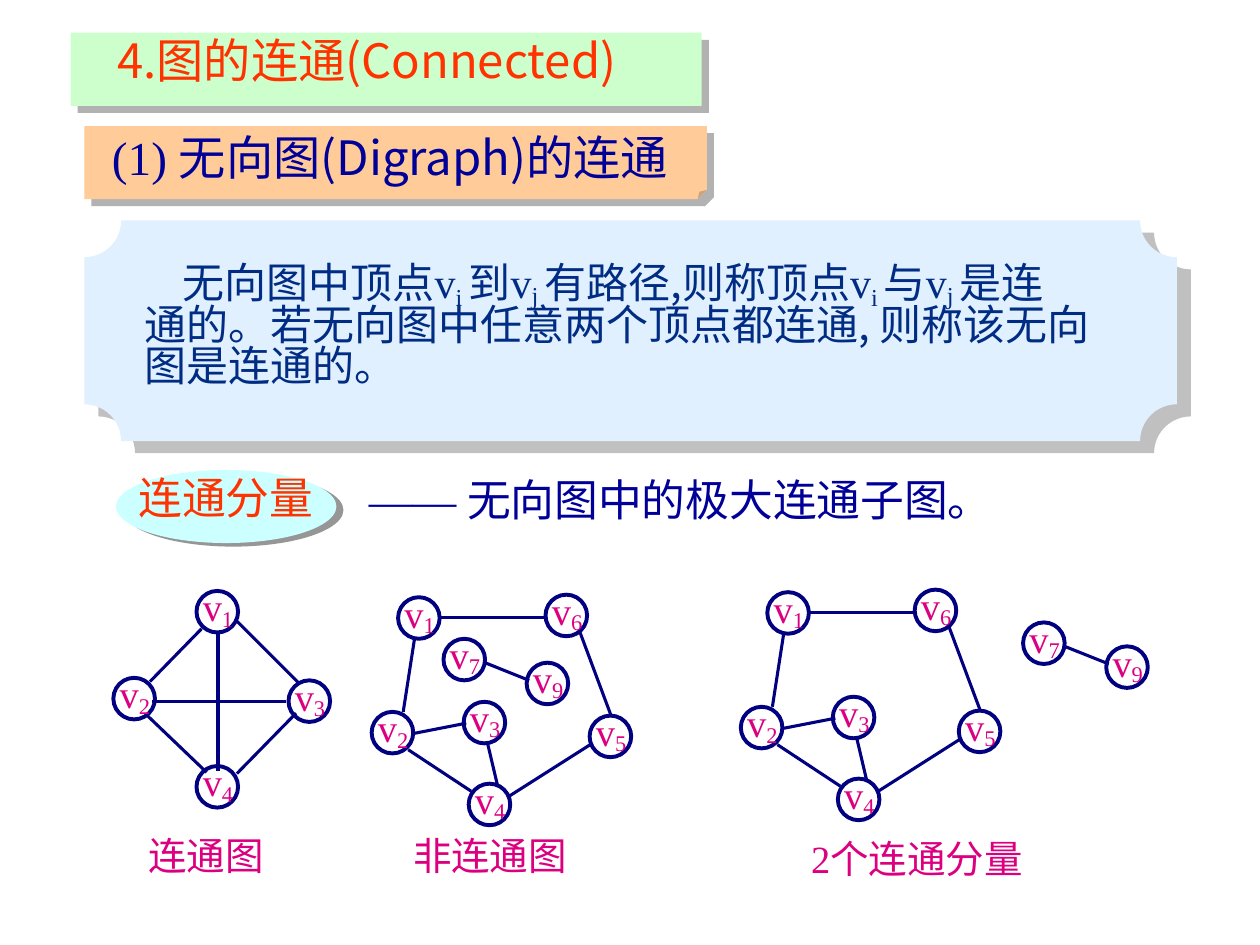
"""Build a slide on connectivity of undirected graphs."""
from lxml import etree
from pptx import Presentation
from pptx.dml.color import RGBColor
from pptx.enum.shapes import MSO_CONNECTOR, MSO_SHAPE
from pptx.enum.text import MSO_ANCHOR, MSO_AUTO_SIZE, PP_ALIGN
from pptx.oxml.ns import qn
from pptx.util import Inches, Pt

RECT, FOLDED = MSO_SHAPE.RECTANGLE, MSO_SHAPE.FOLDED_CORNER
OVAL, PLAQUE = MSO_SHAPE.OVAL, MSO_SHAPE.PLAQUE
STRAIGHT = MSO_CONNECTOR.STRAIGHT
LEFT, CENTER = PP_ALIGN.LEFT, PP_ALIGN.CENTER
TOP, FIXED = MSO_ANCHOR.TOP, MSO_AUTO_SIZE.NONE

CJK, ROMAN = "Noto Sans CJK SC", "Times New Roman"
COLORS = {
    "green": "CCFFCC", "orange": "FFCC99", "cyan": "CCFFFF", "pale": "E1F0FF",
    "red": "FF3300", "blue": "000099", "ink": "002C84", "pink": "DC0081",
    "navy": "000080", "shade": "B2B2B2", "dark": "969696", "silver": "C0C0C0",
    "black": "000000",
}
DIAMETER = 0.33

PANELS = [
    (FOLDED, (0.67, 1, 4.94, 0.58), 12500, "orange", ("shade", 5.7, 45)),
    (RECT, (0.56, 0.26, 5.01, 0.58), None, "green", ("shade", 5.7, 45)),
    (OVAL, (0.92, 3.73, 1.75, 0.58), None, "cyan", ("dark", 4.5, 27)),
    (PLAQUE, (0.67, 1.75, 8.67, 1.75), None, "pale", ("silver", 10.6, 41)),
]

TITLE = [[("4.图的连通(Connected)", CJK, 0)]]
VI = [("v", ROMAN, 0), ("i ", ROMAN, -20)]
VJ = [("v", ROMAN, 0), ("j ", ROMAN, -14)]
DEFINITION = [
    [("无向图中顶点", CJK, 0), *VI, ("到", CJK, 0), *VJ,
     ("有路径,则称顶点", CJK, 0), *VI, ("与", CJK, 0), *VJ, ("是连", CJK, 0)],
    [("通的。若无向图中任意两个顶点都连通, 则称该无向", CJK, 0)],
    [("图是连通的。", CJK, 0)],
]
COMPONENT = ((1, 3.74, 2.16, 0.52), 25, "red", [("连通分量", CJK, 0)])
LABELS = [
    ((0.79, 1.02, 5.39, 0.55), 27, "blue",
     [("(1) ", ROMAN, 0), ("无向图(Digraph)的连通", CJK, 0)]),
    ((2.83, 3.75, 5.25, 0.52), 25, "blue",
     [("—— ", ROMAN, 0), ("无向图中的极大连通子图。", CJK, 0)]),
    ((1.08, 6.6, 1.32, 0.47), 22, "pink", [("连通图", CJK, 0)]),
    ((3.18, 6.6, 1.82, 0.47), 22, "pink", [("非连通图", CJK, 0)]),
    ((6.34, 6.62, 2.33, 0.47), 22, "pink",
     [("2", ROMAN, 0), ("个连通分量", CJK, 0)]),
]

COMPLETE = {
    "nodes": {"1": (1.56, 4.69), "2": (0.9, 5.38), "3": (2.29, 5.4), "4": (1.56, 6.08)},
    "edges": [(1.21, 5.57, 2.27, 5.57), (1.73, 5.03, 1.73, 6.12),
              (1.6, 4.99, 1.19, 5.41), (2.35, 5.66, 1.88, 6.14),
              (1.88, 4.93, 2.38, 5.43), (1.17, 5.68, 1.64, 6.13)],
}
RING = {
    "nodes": {"1": (3.16, 4.74), "2": (2.95, 5.65), "3": (3.68, 5.57),
              "4": (3.72, 6.22), "5": (4.68, 5.68), "6": (4.33, 4.72)},
    "edges": [(3.29, 5.07, 3.2, 5.65), (3.49, 4.9, 4.33, 4.9),
              (4.7, 5.9, 4.04, 6.32), (3.24, 5.95, 3.74, 6.28),
              (4.6, 5.01, 4.85, 5.68), (3.29, 5.82, 3.7, 5.74),
              (3.87, 5.9, 3.95, 6.24)],
}
PAIR = {
    "nodes": {"7": (3.52, 5.07), "9": (4.18, 5.26)},
    "edges": [(3.85, 5.26, 4.2, 5.4)],
}
GRAPHS = [(COMPLETE, 0, 0), (RING, 0, 0), (PAIR, 0, 0),
          (RING, 2.93, -0.04), (PAIR, 4.6, -0.13)]


def rgb(name):
    return RGBColor.from_string(COLORS[name])


def add_shadow(effects, color, dist, angle):
    shadow = etree.SubElement(effects, qn("a:outerShdw"), dist=str(Pt(dist)),
                              dir=str(angle * 60000), algn="tl", rotWithShape="0")
    etree.SubElement(shadow, qn("a:srgbClr"), val=COLORS[color])


def add_panel(shapes, kind, box, adj, fill, shadow):
    sp = shapes.add_shape(kind, *map(Inches, box))
    if adj:
        guides = sp._element.spPr.find(qn("a:prstGeom")).find(qn("a:avLst"))
        etree.SubElement(guides, qn("a:gd"), name="adj", fmla=f"val {adj}")
    sp.fill.solid()
    sp.fill.fore_color.rgb = rgb(fill)
    sp.line.fill.background()
    sp.shadow.inherit = False
    add_shadow(sp._element.spPr.find(qn("a:effectLst")), *shadow)


def write(sp, lines, size, color, spacing=0.89, align=LEFT, wrap=True):
    tf = sp.text_frame
    for name, value in {"word_wrap": wrap, "auto_size": FIXED,
                        "vertical_anchor": TOP}.items():
        setattr(tf, name, value)
    for i, line in enumerate(lines):
        p = tf.add_paragraph() if i else tf.paragraphs[0]
        for name, value in {"alignment": align, "line_spacing": spacing,
                            "space_before": Pt(0)}.items():
            setattr(p, name, value)
        for text, font, base in line:
            r = p.add_run()
            r.text = text
            for name, value in {"size": Pt(size), "name": font}.items():
                setattr(r.font, name, value)
            r.font.color.rgb = rgb(color)
            rPr = r.font._element
            etree.SubElement(rPr, qn("a:ea"), typeface=font)
            if base:
                rPr.set("baseline", str(base * 1000))


def add_text(shapes, box, size, color, line, **options):
    sp = shapes.add_textbox(*map(Inches, box))
    write(sp, [line], size, color, **options)
    return sp


def place(sp, box):
    for name, value in zip(("left", "top", "width", "height"), box):
        setattr(sp, name, Inches(value))
    sp._element.getparent().append(sp._element)


def add_graph(shapes, graph, dx, dy):
    group = shapes.add_group_shape().shapes
    for x1, y1, x2, y2 in graph["edges"]:
        edge = group.add_connector(
            STRAIGHT, *map(Inches, (x1 + dx, y1 + dy, x2 + dx, y2 + dy)))
        edge.line.color.rgb = rgb("navy")
        edge.line.width = Pt(1.75)
        etree.SubElement(edge._element.spPr, qn("a:effectLst"))
    for number, (x, y) in graph["nodes"].items():
        left, top = x + dx, y + dy
        node = group.add_shape(OVAL, *map(Inches, (left, top, DIAMETER, DIAMETER)))
        node.fill.background()
        node.line.color.rgb = rgb("navy")
        node.line.width = Pt(2.25)
        node.shadow.inherit = False
        add_text(group, (left - 0.06, top - 0.11, 0.46, 0.47), 22, "pink",
                 [("v", ROMAN, 0), (number, ROMAN, -14)],
                 spacing=1.0, align=CENTER, wrap=False)


def main():
    prs = Presentation()
    prs.slide_width, prs.slide_height = Inches(10), Inches(7.5)
    s = prs.slides.add_slide(prs.slide_layouts[1])
    title, body = s.placeholders
    for panel in PANELS:
        add_panel(s.shapes, *panel)

    place(title, (0.83, 0.25, 4.8, 0.58))
    write(title, TITLE, 27, "red")
    place(body, (1.05, 2.03, 8.28, 1.3))
    write(body, DEFINITION, 24, "ink", spacing=0.82)
    for i, p in enumerate(body.text_frame.paragraphs):
        pPr = p._p.get_or_add_pPr()
        pPr.set("marL", "0")
        pPr.set("indent", str(0 if i else Inches(0.3)))
        etree.SubElement(pPr, qn("a:buNone"))

    for label in LABELS:
        add_text(s.shapes, *label)
    component = add_text(s.shapes, *COMPONENT)
    effects = etree.Element(qn("a:effectLst"))
    add_shadow(effects, "black", 1.5, 45)
    rPr = component.text_frame.paragraphs[0].runs[0].font._element
    rPr.find(qn("a:solidFill")).addnext(effects)

    for graph in GRAPHS:
        add_graph(s.shapes, *graph)
    prs.save("out.pptx")


if __name__ == "__main__":
    main()
